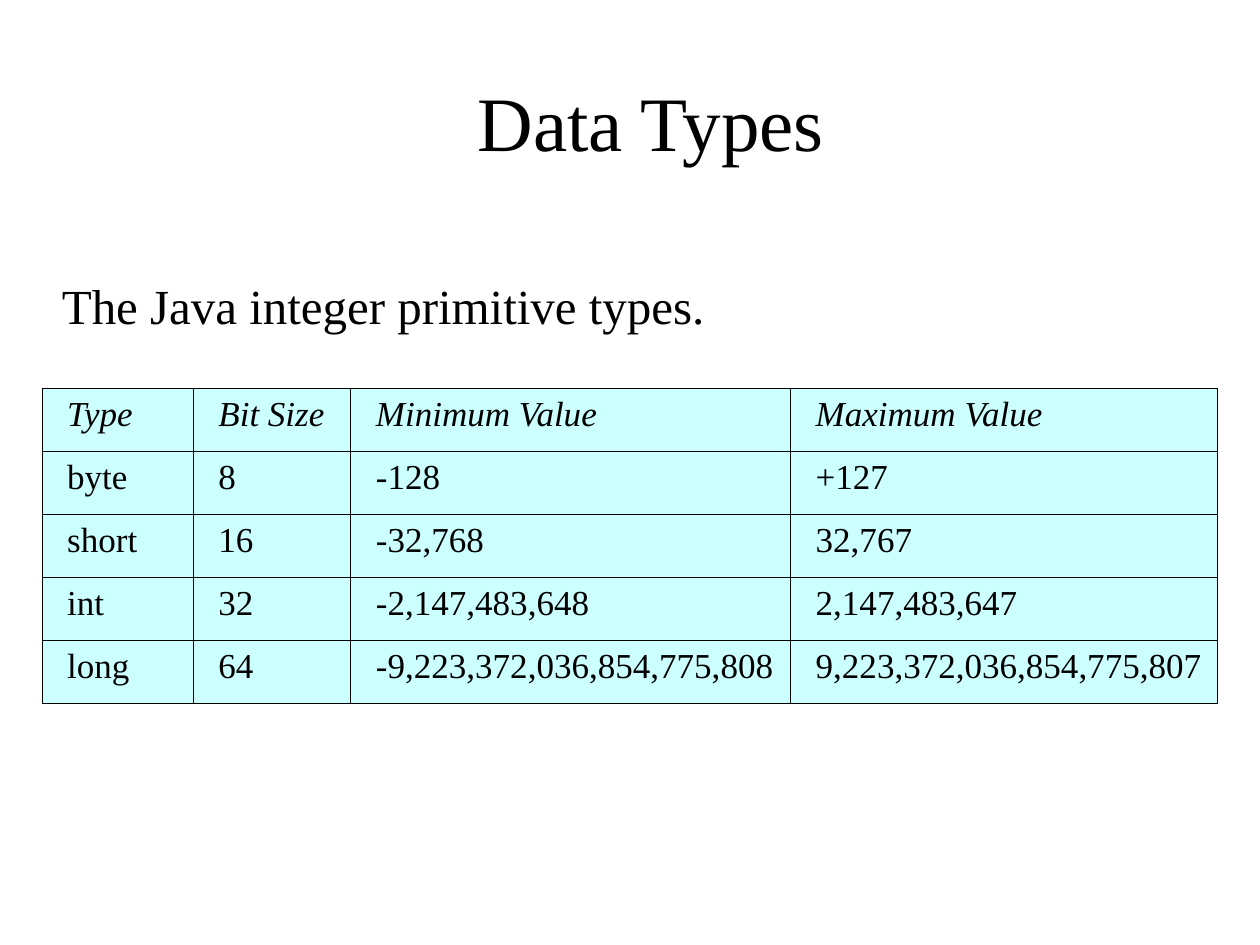
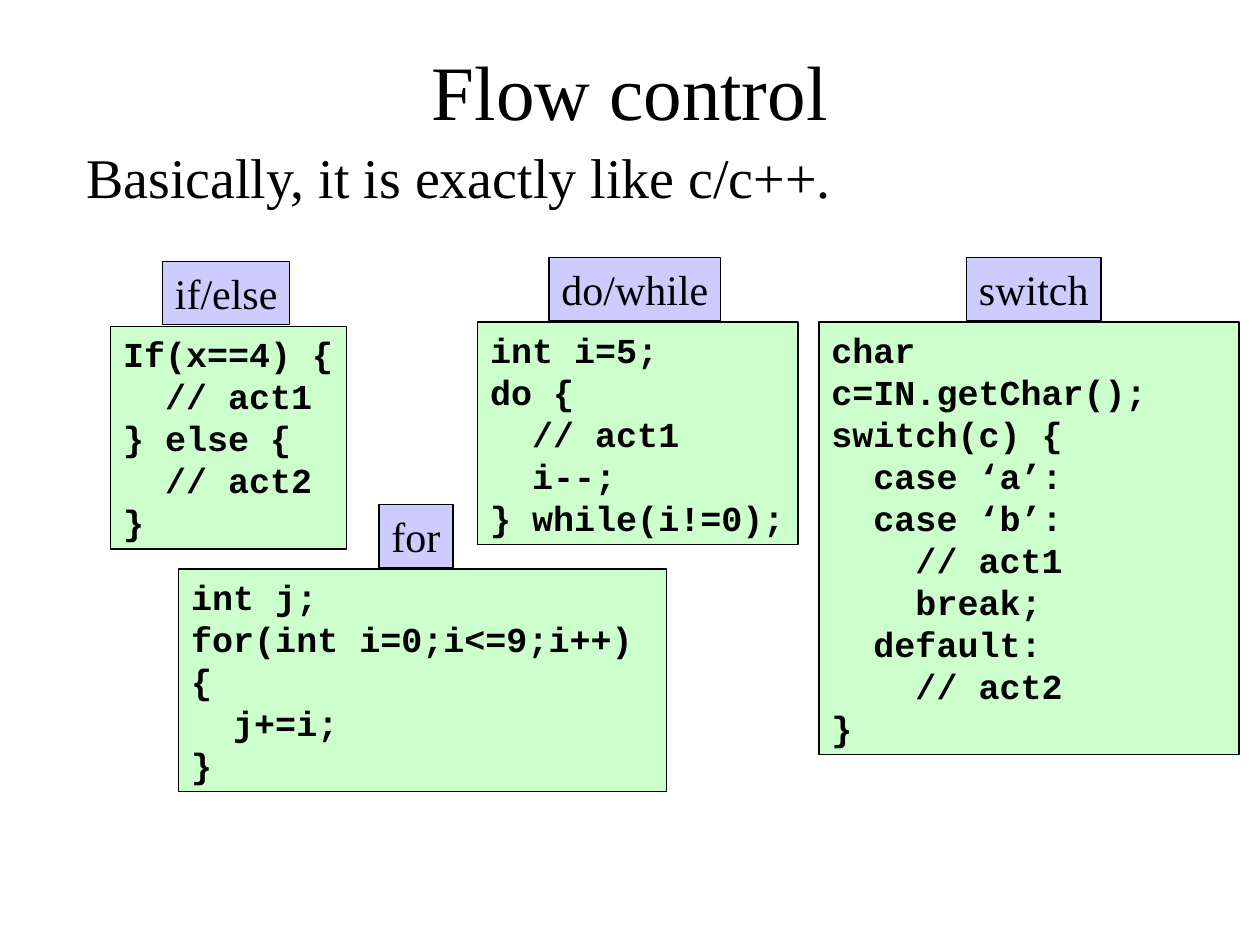
from dataclasses import dataclass

from lxml.etree import SubElement
from pptx import Presentation
from pptx.dml.color import RGBColor
from pptx.enum.shapes import MSO_SHAPE
from pptx.enum.text import MSO_ANCHOR, MSO_AUTO_SIZE, PP_ALIGN
from pptx.oxml.ns import qn
from pptx.util import Pt


@dataclass(frozen=True)
class Theme:
    black: RGBColor = RGBColor(0x00, 0x00, 0x00)
    cell: RGBColor = RGBColor(0xCC, 0xFF, 0xFF)
    label: RGBColor = RGBColor(0xCC, 0xCC, 0xFF)
    code: RGBColor = RGBColor(0xCC, 0xFF, 0xCC)
    serif: str = "Times New Roman"
    mono: str = "Courier New"
    title_size: int = 44
    lead_size: int = 32
    caption_size: int = 28
    label_size: int = 24
    code_size: int = 20
    table_size: int = 20
    outline: float = 0.75
    border: float = 0.45


THEME = Theme()
CODE_LINE = 24
INSET_X, INSET_Y = 7.2, 3.6
LABEL_RISE, LABEL_HEIGHT = 37, 36

TYPE_COLUMNS = (86.4, 90, 251.3, 244.1)
TYPE_ROWS = (
    ("Type", "Bit Size", "Minimum Value", "Maximum Value"),
    ("byte", "8", "-128", "+127"),
    ("short", "16", "-32,768", "32,767"),
    ("int", "32", "-2,147,483,648", "2,147,483,647"),
    ("long", "64", "-9,223,372,036,854,775,808", "9,223,372,036,854,775,807"),
)

IF_ELSE = """If(x==4) {
  // act1
} else {
  // act2
}"""
DO_WHILE = """int i=5;
do {
  // act1
  i--;
} while(i!=0);"""
FOR = """int j;
for(int i=0;i<=9;i++)
{
  j+=i;
}"""
SWITCH = """char c=IN.getChar();
switch(c) {
  case ‘a’:
  case ‘b’:
    // act1
    break;
  default:
    // act2
}"""

# Label, label left and width, code, code left, top and width, drawn lines
SAMPLES = (
    ("if/else", 92.9, 72.7, IF_ELSE, 63.2, 186.5, 134.8, 5),
    ("do/while", 313.7, 98, DO_WHILE, 273, 184, 183, 5),
    ("for", 216.6, 42.3, FOR, 102.2, 325.2, 278.6, 5),
    ("switch", 552.3, 76.8, SWITCH, 468, 184, 240, 10),
)


def assign(target, values):
    for name, value in values.items():
        setattr(target, name, value)


def place(shape, box):
    assign(shape, dict(zip(("left", "top", "width", "height"), map(Pt, box))))


def write(frame, text, size, font=THEME.serif, bold=False, italic=False,
          align=PP_ALIGN.LEFT, spacing=None):
    """Fill a text frame with one paragraph per line of text."""
    for index, line in enumerate(text.split("\n")):
        para = frame.add_paragraph() if index else frame.paragraphs[0]
        assign(para, {"alignment": align, "space_before": Pt(0),
                      "line_spacing": spacing})
        span = para.add_run()
        span.text = line
        assign(span.font, {"name": font, "size": Pt(size),
                           "bold": bold, "italic": italic})
        span.font.color.rgb = THEME.black


def set_frame(frame, anchor=MSO_ANCHOR.TOP, wrap=True, inset=(INSET_X, INSET_Y)):
    across, down = map(Pt, inset)
    assign(frame, {"auto_size": MSO_AUTO_SIZE.NONE, "word_wrap": wrap,
                   "vertical_anchor": anchor,
                   "margin_left": across, "margin_right": across,
                   "margin_top": down, "margin_bottom": down})


def add_title(page, text, box):
    title = page.shapes.title
    place(title, box)
    set_frame(title.text_frame, MSO_ANCHOR.MIDDLE)
    write(title.text_frame, text, THEME.title_size, align=PP_ALIGN.CENTER)


def add_lead(page, text, box, size, align=PP_ALIGN.LEFT, **frame_format):
    """Fill the body placeholder with a single unbulleted line."""
    body = page.placeholders[1]
    place(body, box)
    set_frame(body.text_frame, **frame_format)
    settings = body.text_frame.paragraphs[0]._p.get_or_add_pPr()
    settings.set("marL", "0")
    settings.set("indent", "0")
    SubElement(settings, qn("a:buNone"))
    write(body.text_frame, text, size, align=align)


def draw_borders(cell):
    settings = cell._tc.get_or_add_tcPr()
    for index, side in enumerate(("lnL", "lnR", "lnT", "lnB")):
        line = settings.makeelement(qn(f"a:{side}"), {"w": str(Pt(THEME.border))})
        fill = SubElement(line, qn("a:solidFill"))
        SubElement(fill, qn("a:srgbClr"), val=str(THEME.black))
        settings.insert(index, line)


def add_type_table(page, left, top, row_height):
    height = row_height * len(TYPE_ROWS)
    frame = page.shapes.add_table(len(TYPE_ROWS), len(TYPE_COLUMNS), Pt(left),
                                  Pt(top), Pt(sum(TYPE_COLUMNS)), Pt(height))
    table = frame.table
    for column, width in zip(table.columns, TYPE_COLUMNS):
        column.width = Pt(width)
    for row, texts in enumerate(TYPE_ROWS):
        for column, text in enumerate(texts):
            cell = table.cell(row, column)
            cell.fill.solid()
            cell.fill.fore_color.rgb = THEME.cell
            cell.margin_left = Pt(2 * INSET_X)
            write(cell.text_frame, text, THEME.table_size, italic=row == 0)
            draw_borders(cell)


def add_panel(group, box, fill, wrap):
    panel = group.shapes.add_shape(MSO_SHAPE.RECTANGLE, *map(Pt, box))
    panel.shadow.inherit = False
    panel.fill.solid()
    panel.fill.fore_color.rgb = fill
    panel.line.color.rgb = THEME.black
    panel.line.width = Pt(THEME.outline)
    set_frame(panel.text_frame, wrap=wrap)
    return panel.text_frame


def add_sample(page, label, label_left, label_width, code, left, top, width, lines):
    """Group a code panel with the label that sits on its top edge."""
    group = page.shapes.add_group_shape()
    label_box = (label_left, top - LABEL_RISE, label_width, LABEL_HEIGHT)
    write(add_panel(group, label_box, THEME.label, False), label, THEME.label_size)
    code_box = (left, top, width, lines * CODE_LINE + 2 * INSET_Y)
    write(add_panel(group, code_box, THEME.code, True), code, THEME.code_size,
          font=THEME.mono, bold=True, spacing=Pt(CODE_LINE))


def build_data_types(page):
    add_type_table(page, 24, 222, 36)
    add_lead(page, "The Java integer primitive types.", (0, 156.5, 438, 34.5),
             THEME.caption_size, PP_ALIGN.CENTER, inset=(0, 0.7))
    add_title(page, "Data Types", (66, 24, 612, 90))


def build_flow_control(page):
    add_title(page, "Flow control", (54, 24, 612, 54))
    add_lead(page, "Basically, it is exactly like c/c++.", (42, 78, 612, 54),
             THEME.lead_size)
    for sample in SAMPLES:
        add_sample(page, *sample)


def main():
    deck = Presentation()
    assign(deck, {"slide_width": Pt(720), "slide_height": Pt(540)})
    for build in (build_data_types, build_flow_control):
        build(deck.slides.add_slide(deck.slide_layouts[1]))
    deck.save("out.pptx")


if __name__ == "__main__":
    main()
